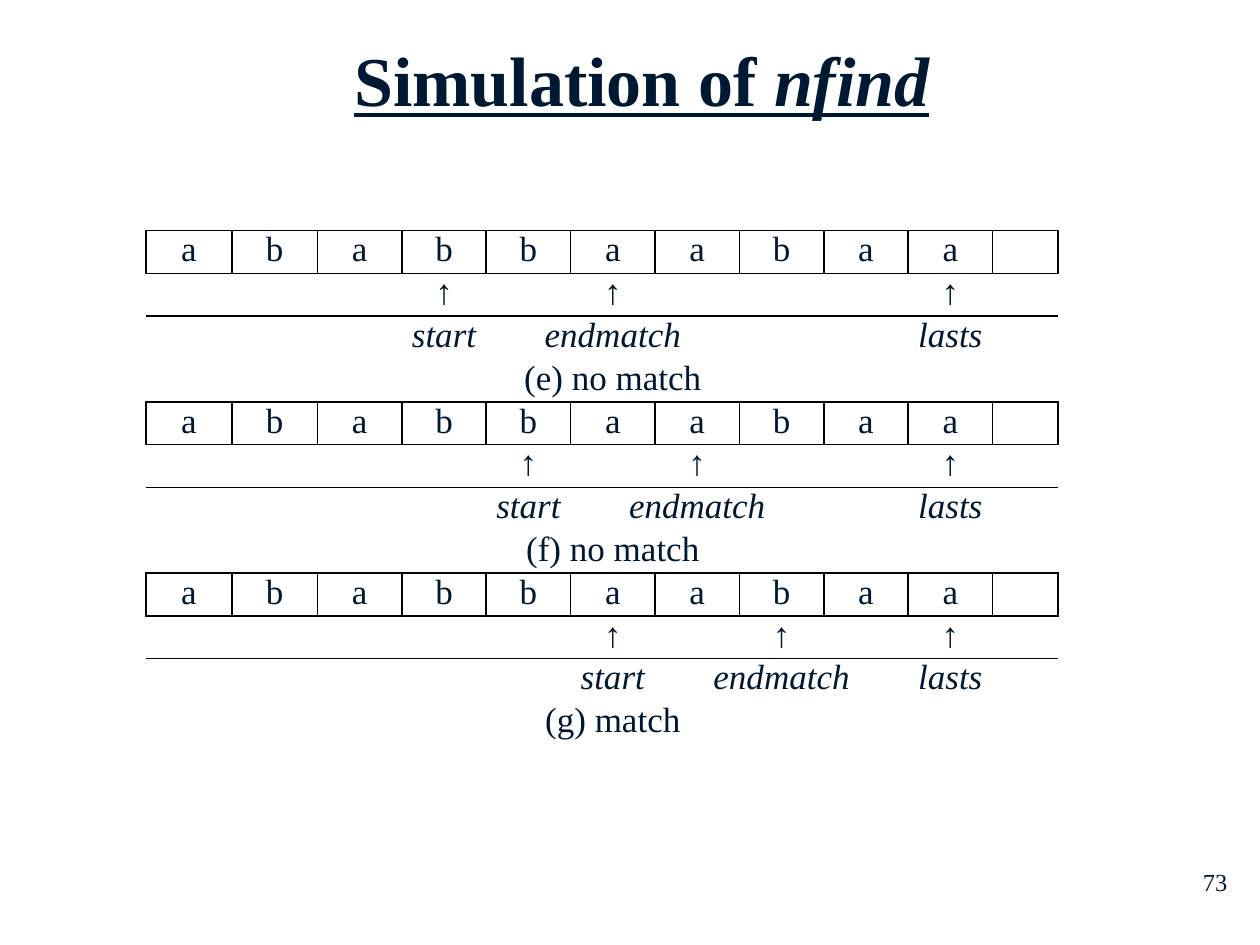
from lxml.etree import SubElement
from pptx import Presentation
from pptx.dml.color import RGBColor
from pptx.enum.text import MSO_ANCHOR, MSO_AUTO_SIZE, PP_ALIGN
from pptx.oxml.ns import qn
from pptx.util import Inches, Pt

TITLE = [("Simulation of ", False), ("nfind", True)]
PAGE = "73"
STRING = "ababbaabaa"
LASTS = 9
STEPS = [  # start column, endmatch column, caption
    (3, 5, "(e) no match"),
    (4, 6, "(f) no match"),
    (5, 7, "(g) match"),
]
CAPTION_COL = 5
COL_WIDTHS = [0.68] * 2 + [0.67] * 8 + [0.52]
ROWS_PER_STEP = 4
ROW_H = 0.34
FONT, INK, BORDER = "Times New Roman", "001932", "000000"
NO_GRID = "{2D5ABB26-0587-4C30-8999-92F81FD0307C}"


def rgb(value):
    return RGBColor.from_string(value)


def add_run(p, text, size=20, italic=False, bold=False, underline=False,
            align=PP_ALIGN.CENTER):
    p.alignment = align
    r = p.add_run()
    r.text = text
    f = r.font
    f.name, f.size, f.color.rgb = FONT, Pt(size), rgb(INK)
    f.italic, f.bold, f.underline = italic, bold, underline


def add_borders(cell, sides):
    """Draw 1 pt lines on the given sides, in the order L, R, T, B."""
    tcPr = cell._tc.get_or_add_tcPr()
    for side in sides:
        ln = SubElement(tcPr, qn(f"a:ln{side}"), w=str(Pt(1)))
        SubElement(SubElement(ln, qn("a:solidFill")), qn("a:srgbClr"), val=BORDER)


def write_cell(table, row, col, text, span=1, italic=False):
    """Write text centred on col, merging span cells around it."""
    first = col - span // 2
    cell = table.cell(row, first)
    if span > 1:
        cell.merge(table.cell(row, first + span - 1))
    add_run(cell.text_frame.paragraphs[0], text, italic=italic)


def add_title(slide):
    sp = slide.shapes.title
    sp.left, sp.top, sp.width, sp.height = map(Inches, (1.54, 0.24, 7.11, 0.77))
    tf = sp.text_frame
    tf.auto_size = MSO_AUTO_SIZE.NONE
    tf.vertical_anchor = MSO_ANCHOR.BOTTOM
    for text, italic in TITLE:
        add_run(tf.paragraphs[0], text, size=40, bold=True, underline=True,
                italic=italic)


def add_simulation(slide):
    n_rows, n_cols = ROWS_PER_STEP * len(STEPS), len(COL_WIDTHS)
    table = slide.shapes.add_table(
        n_rows, n_cols, Inches(1.16), Inches(1.83),
        Inches(sum(COL_WIDTHS)), Inches(ROW_H * n_rows)).table
    table.first_row = table.horz_banding = False
    table._tbl.tblPr.find(qn("a:tableStyleId")).text = NO_GRID
    for column, width in zip(table.columns, COL_WIDTHS):
        column.width = Inches(width)

    for i, row in enumerate(table.rows):
        row.height = Inches(ROW_H)
        kind = i % ROWS_PER_STEP
        sides = {0: "LRTB", 1: "T", 3: "B" if i < n_rows - 1 else ""}.get(kind, "")
        for cell in row.cells:
            cell.margin_left = cell.margin_right = Inches(0.07)
            cell.margin_top = cell.margin_bottom = 0
            add_borders(cell, sides)
            cell.fill.background()

    for step, (start, endmatch, caption) in enumerate(STEPS):
        top = step * ROWS_PER_STEP
        for col, letter in enumerate(STRING):
            write_cell(table, top, col, letter)
        for col, label, span in ((start, "start", 1), (endmatch, "endmatch", 3),
                                 (LASTS, "lasts", 1)):
            write_cell(table, top + 1, col, "↑")
            write_cell(table, top + 2, col, label, span=span, italic=True)
        write_cell(table, top + 3, CAPTION_COL, caption, span=3)


def add_page_number(slide):
    sp = slide.shapes.add_textbox(*map(Inches, (7.76, 6.83, 2.08, 0.5)))
    tf = sp.text_frame
    tf.word_wrap = True
    add_run(tf.paragraphs[0], PAGE, size=14, align=PP_ALIGN.RIGHT)


def main():
    prs = Presentation()
    prs.slide_width, prs.slide_height = Inches(10), Inches(7.5)
    slide = prs.slides.add_slide(prs.slide_layouts[5])
    add_page_number(slide)
    add_simulation(slide)
    add_title(slide)
    prs.save("out.pptx")


if __name__ == "__main__":
    main()
